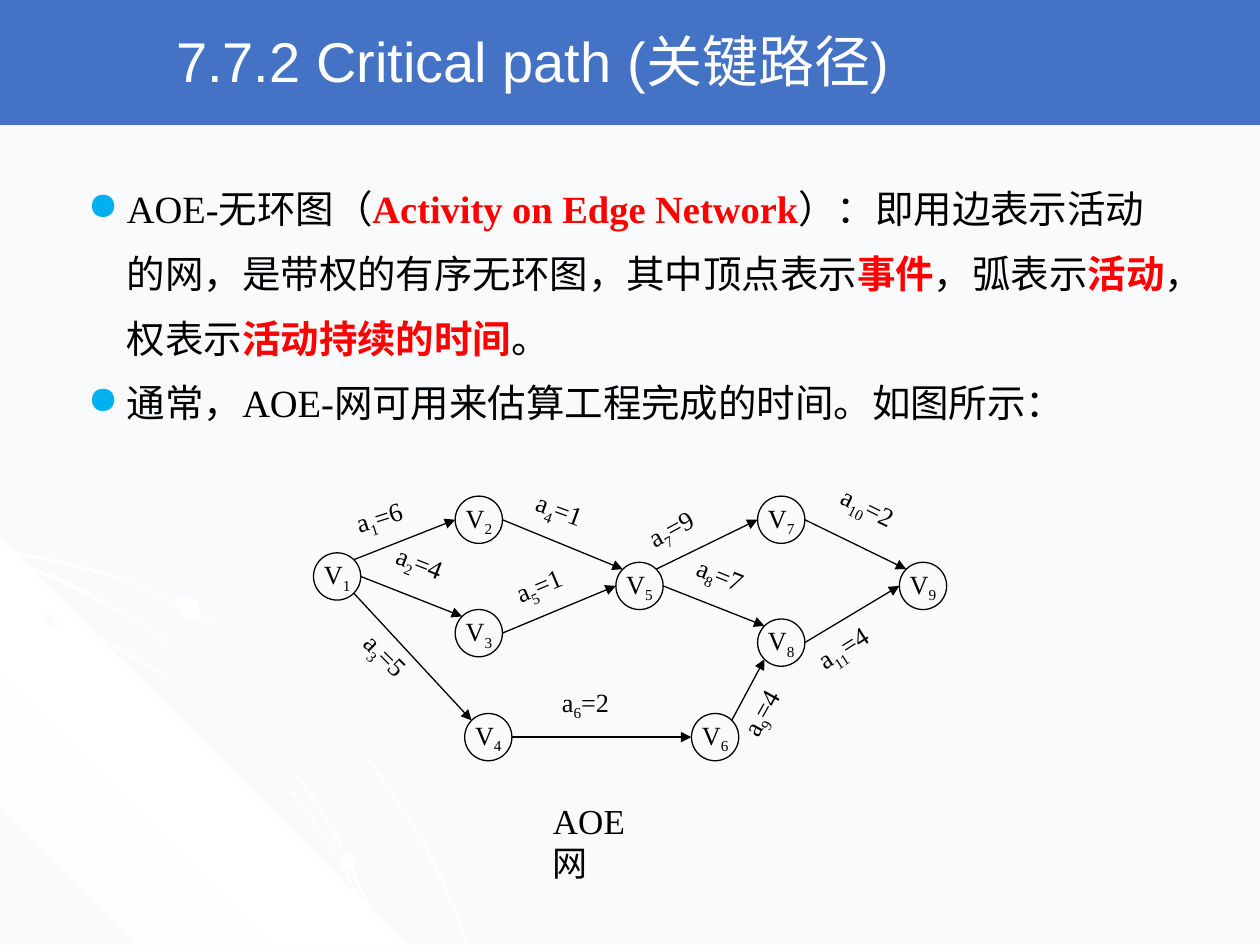
from dataclasses import dataclass
from math import cos, pi, sin

from lxml.etree import SubElement
from pptx import Presentation
from pptx.dml.color import RGBColor as Color
from pptx.enum.shapes import MSO_CONNECTOR as Connector, MSO_SHAPE as Preset
from pptx.enum.text import MSO_ANCHOR as Anchor, PP_ALIGN as Align
from pptx.oxml.ns import qn
from pptx.util import Inches, Pt


@dataclass(frozen=True)
class Theme:
    paper: str = "F9FAFB"
    white: str = "FFFFFF"
    banner: str = "4472C4"
    bullet: str = "00B0F0"
    ink: str = "000000"
    emphasis: str = "FF0000"
    title_font: str = "Arial"
    body_font: str = "Times New Roman"
    title_size: int = 32
    body_size: int = 22
    caption_size: int = 20
    graph_size: int = 15


theme = Theme()
presentation = Presentation()
presentation.slide_width, presentation.slide_height = Inches(10), Inches(7.5)
WIDTH, HEIGHT = presentation.slide_width, presentation.slide_height
slide = presentation.slides.add_slide(presentation.slide_layouts[6])
slide.background.fill.solid()
slide.background.fill.fore_color.rgb = Color.from_string(theme.paper)


def paint_gradient(shape, colors, angle):
    """Fill with evenly spaced colours, the angle counted clockwise."""
    shape.shadow.inherit = False
    shape.line.fill.background()
    shape.fill.gradient()
    shape.fill.gradient_angle = 360 - angle
    stops = shape._element.spPr.find(qn("a:gradFill")).find(qn("a:gsLst"))
    for stop in list(stops):
        stops.remove(stop)
    for index, color in enumerate(colors):
        position = str(100000 * index // (len(colors) - 1))
        stop = SubElement(stops, qn("a:gs"), pos=position)
        SubElement(stop, qn("a:srgbClr"), val=color)


def write_graph_text(shape, base, subscript, rest=""):
    """Write a centred symbol with a subscript, such as a1=6."""
    frame = shape.text_frame
    frame.margin_left = frame.margin_right = frame.margin_top = frame.margin_bottom = 0
    frame.vertical_anchor = Anchor.MIDDLE
    frame.word_wrap = False
    paragraph = frame.paragraphs[0]
    paragraph.alignment = Align.CENTER
    paragraph.font.name, paragraph.font.size = theme.body_font, Pt(theme.graph_size)
    paragraph.font.color.rgb = Color.from_string(theme.ink)
    for text in filter(None, (base, subscript, rest)):
        run = paragraph.add_run()
        run.text = text
        if text == subscript:
            run._r.get_or_add_rPr().set("baseline", "-25000")


# Background decoration, in thousandths of the slide width
rising = [theme.white, theme.paper, theme.white]
falling = [theme.paper, theme.white, theme.paper]
outlines = [
    ([(0, 435), (57, 447), (98, 459), (136, 477), (174, 497), (209, 521), (242, 548),
      (272, 578), (300, 611), (325, 648), (339, 673), (352, 698), (362, 723), (372, 749),
      (370, 749), (360, 723), (350, 698), (337, 673), (323, 649), (298, 612), (271, 579),
      (241, 549), (208, 523), (173, 499), (135, 478), (97, 461), (56, 449), (0, 438)],
     rising, 45),
    ([(322, 749), (0, 749), (0, 427)], falling, 315),
    ([(0, 475), (41, 488), (79, 505), (117, 526), (152, 549), (184, 576), (215, 606),
      (242, 640), (266, 676), (286, 712), (296, 730), (303, 749), (301, 749), (294, 732),
      (285, 714), (265, 677), (240, 641), (213, 608), (183, 578), (150, 551), (115, 528),
      (77, 507), (39, 490), (0, 477)], rising, 45),
    ([(0, 442), (39, 455), (76, 473), (111, 493), (144, 516), (175, 543), (204, 573),
      (229, 603), (254, 639), (269, 665), (282, 693), (294, 720), (303, 749), (301, 749),
      (292, 722), (280, 694), (267, 667), (252, 641), (227, 605), (202, 575), (173, 544),
      (142, 518), (109, 494), (74, 475), (36, 457), (0, 444)], rising, 45),
]
for points, colors, angle in outlines:
    builder = slide.shapes.build_freeform(*points[0], scale=WIDTH / 1000)
    builder.add_line_segments(points[1:], close=True)
    paint_gradient(builder.convert_to_shape(), colors, angle)
for left, top, size, angle in [(36, 483, 15, 315), (267, 674, 16, 45), (137, 473, 21, 315)]:
    dot = slide.shapes.add_shape(
        Preset.OVAL, *(int(WIDTH * value / 1000) for value in (left, top, size, size)))
    paint_gradient(dot, [theme.paper, theme.white], angle)

# Title banner
banner = slide.shapes.add_shape(Preset.RECTANGLE, 0, 0, WIDTH, int(HEIGHT * 0.13))
banner.shadow.inherit = False
banner.fill.solid()
banner.fill.fore_color.rgb = banner.line.color.rgb = Color.from_string(theme.banner)
banner.line.width = Pt(2)

# Body
body = slide.shapes.add_textbox(
    int(WIDTH * 0.06), int(HEIGHT * 0.17), int(WIDTH * 0.884), int(HEIGHT * 0.29))
body.text_frame.word_wrap = True
bullets = [
    [("AOE-无环图（", False), ("Activity on Edge Network", True),
     ("）：即用边表示活动的网，是带权的有序无环图，其中顶点表示", False), ("事件", True),
     ("，弧表示", False), ("活动", True), ("，权表示", False),
     ("活动持续的时间", True), ("。", False)],
    [("通常，AOE-网可用来估算工程完成的时间。如图所示：", False)],
]
for index, pieces in enumerate(bullets):
    paragraph = body.text_frame.add_paragraph() if index else body.text_frame.paragraphs[0]
    paragraph.line_spacing = 1.4
    properties = paragraph._p.get_or_add_pPr()
    properties.set("marL", str(Inches(0.31)))
    properties.set("indent", str(-Inches(0.31)))
    SubElement(SubElement(properties, qn("a:buClr")), qn("a:srgbClr"), val=theme.bullet)
    SubElement(properties, qn("a:buChar"), char="●")
    paragraph.font.name, paragraph.font.size = theme.body_font, Pt(theme.body_size)
    for text, emphasized in pieces:
        run = paragraph.add_run()
        run.text = text
        run.font.bold = emphasized
        run.font.color.rgb = Color.from_string(theme.emphasis if emphasized else theme.ink)

# Graph: a grid of hundredths of the slide height, with its own origin
CELL = HEIGHT / 100
ORIGIN_X, ORIGIN_Y, RADIUS = 35.67, 55, 2.5
vertices = {1: (0, 6), 2: (15, 0), 3: (15, 12), 4: (16, 23), 5: (32, 7),
            6: (40, 23), 7: (47, 0), 8: (47, 13), 9: (62, 7)}
for number, (column, row) in vertices.items():
    vertex = slide.shapes.add_shape(
        Preset.OVAL, int((ORIGIN_X + column - RADIUS) * CELL),
        int((ORIGIN_Y + row - RADIUS) * CELL), int(2 * RADIUS * CELL), int(2 * RADIUS * CELL))
    vertex.shadow.inherit = False
    vertex.fill.background()
    vertex.line.color.rgb = Color.from_string(theme.ink)
    vertex.line.width = Pt(0.75)
    write_graph_text(vertex, "V", str(number))

# Start and end vertex, each with its clockwise angle on the circle;
# then weight, label centre and label rotation
edges = [
    (1, -45, 2, 180, 6, 4.5, -0.1, -17.7), (1, 0, 3, 225, 4, 8.7, 4.7, 21.6),
    (1, 45, 4, 225, 5, 5, 14.5, 45.1), (2, 0, 5, 225, 1, 23.5, -0.9, 20.1),
    (3, 0, 5, 180, 1, 21.4, 7.1, -23), (4, 0, 6, 180, 2, 26.3, 19.5, 0),
    (5, -45, 7, 180, 9, 35.4, 1.1, -28.5), (5, 0, 8, 225, 7, 40.5, 6, 21.9),
    (6, -45, 8, 135, 4, 45, 20.5, -60.8), (7, 0, 9, 225, 2, 56.1, -1.2, 26.1),
    (8, 0, 9, 180, 4, 53.6, 13.7, -32.3),
]
LABEL_WIDTH, LABEL_HEIGHT = 7.8, 4.7
for number, (start, leave, end, arrive, weight, column, row, turn) in enumerate(edges, 1):
    ends = []
    for name, angle in ((start, leave), (end, arrive)):
        x, y = vertices[name]
        ends += [int((ORIGIN_X + x + RADIUS * cos(angle * pi / 180)) * CELL),
                 int((ORIGIN_Y + y + RADIUS * sin(angle * pi / 180)) * CELL)]
    arrow = slide.shapes.add_connector(Connector.STRAIGHT, *ends)
    arrow.line.color.rgb = Color.from_string(theme.ink)
    arrow.line.width = Pt(0.75)
    SubElement(arrow.line._get_or_add_ln(), qn("a:tailEnd"), type="triangle")
    SubElement(arrow._element.spPr, qn("a:effectLst"))
    label = slide.shapes.add_textbox(
        int((ORIGIN_X + column - LABEL_WIDTH / 2) * CELL),
        int((ORIGIN_Y + row - LABEL_HEIGHT / 2) * CELL),
        int(LABEL_WIDTH * CELL), int(LABEL_HEIGHT * CELL))
    label.rotation = turn
    write_graph_text(label, "a", str(number), f"={weight}")

# Caption and title
captions = [
    ("AOE网", 0.429, 0.839, 0.1, 0.1, theme.body_font, theme.caption_size, theme.ink, Anchor.TOP),
    ("7.7.2 Critical path (关键路径)", 0.13, 0.004, 0.82, 0.12,
     theme.title_font, theme.title_size, theme.white, Anchor.MIDDLE),
]
for text, left, top, width, height, font, size, color, anchor in captions:
    box = slide.shapes.add_textbox(
        int(WIDTH * left), int(HEIGHT * top), int(WIDTH * width), int(HEIGHT * height))
    box.text_frame.word_wrap = True
    box.text_frame.vertical_anchor = anchor
    paragraph = box.text_frame.paragraphs[0]
    paragraph.text = text
    paragraph.font.name, paragraph.font.size = font, Pt(size)
    paragraph.font.color.rgb = Color.from_string(color)

presentation.save("out.pptx")
